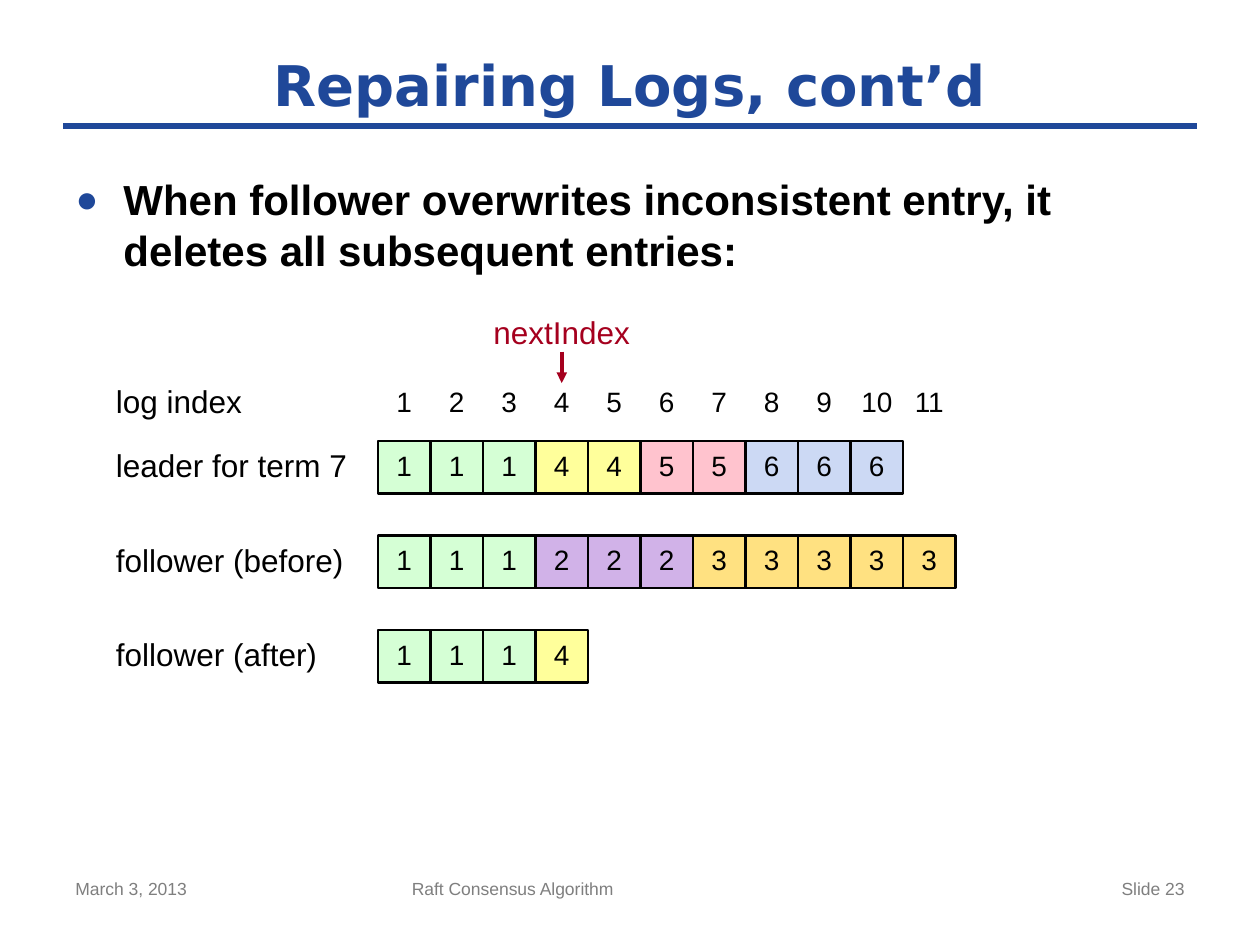
"""Build the slide on repairing inconsistent follower logs."""
from lxml.etree import SubElement
from pptx import Presentation
from pptx.dml.color import RGBColor
from pptx.enum.shapes import MSO_CONNECTOR as CONNECTOR, MSO_SHAPE as SHAPE
from pptx.enum.text import MSO_ANCHOR as ANCHOR, MSO_AUTO_SIZE as AUTO_SIZE, PP_ALIGN as ALIGN
from pptx.oxml.ns import qn
from pptx.util import Inches, Pt

BLUE = RGBColor(0x1F, 0x48, 0x99)
RED = RGBColor(0xA5, 0x00, 0x1E)
BLACK = RGBColor(0x00, 0x00, 0x00)
GRAY = RGBColor(0x7F, 0x7F, 0x7F)
TERM_FILLS = {
    1: RGBColor(0xD5, 0xFF, 0xD5),
    2: RGBColor(0xD1, 0xB2, 0xE8),
    3: RGBColor(0xFF, 0xE1, 0x81),
    4: RGBColor(0xFF, 0xFF, 0x9B),
    5: RGBColor(0xFF, 0xC3, 0xCE),
    6: RGBColor(0xCC, 0xD9, 0xF4),
}
CELL = 5 / 12
LOG_LEFT = 3
LABEL_LEFT = 0.92
NEXT_INDEX = 4
LOGS = [
    ("leader for term 7", 3.5, [1, 1, 1, 4, 4, 5, 5, 6, 6, 6]),
    ("follower (before)", 4.25, [1, 1, 1, 2, 2, 2, 3, 3, 3, 3, 3]),
    ("follower (after)", 5, [1, 1, 1, 4]),
]


def write(shape, text, size, color=BLACK, align=ALIGN.LEFT, inset=None, spacing=None,
          font="Arial", bold=False):
    frame = shape.text_frame
    frame.text = text
    frame.word_wrap = True
    frame.auto_size = AUTO_SIZE.NONE
    if inset is not None:
        frame.margin_left = frame.margin_right = Inches(inset)
        frame.margin_top = frame.margin_bottom = Inches(inset)
    line = frame.paragraphs[0]
    line.alignment = align
    if spacing:
        line.line_spacing = Pt(spacing)
    run_font = line.runs[0].font
    run_font.name, run_font.size, run_font.bold = font, Pt(size), bold
    run_font.color.rgb = color


def add_line(x1, y1, x2, y2, color, width):
    line = slide.shapes.add_connector(
        CONNECTOR.STRAIGHT, Inches(x1), Inches(y1), Inches(x2), Inches(y2))
    line.line.color.rgb = color
    line.line.width = Pt(width)
    SubElement(line._element.spPr, qn("a:effectLst"))
    return line


prs = Presentation()
prs.slide_width, prs.slide_height = Inches(10), Inches(7.5)
slide = prs.slides.add_slide(prs.slide_layouts[1])
shapes = slide.shapes

add_line(0.5, 1, 9.5, 1, BLUE, 4)

title = shapes.title
title.left, title.top, title.width, title.height = map(Inches, (0.5, 0.33, 9, 0.67))
write(title, "Repairing Logs, cont’d", 32, BLUE, ALIGN.CENTER, font="DejaVu Sans", bold=True)
title.text_frame.vertical_anchor = ANCHOR.MIDDLE

body = slide.placeholders[1]
body.left, body.top, body.width, body.height = map(Inches, (0.5, 1.33, 9, 5.37))
write(body, "When follower overwrites inconsistent entry, it deletes all subsequent entries:",
      24, bold=True)
bullet = body.text_frame.paragraphs[0]
bullet.space_before = Pt(12)
bullet_format = bullet._p.get_or_add_pPr()
bullet_format.set("marL", str(Inches(0.38)))
bullet_format.set("indent", str(-Inches(0.38)))
SubElement(SubElement(bullet_format, qn("a:buClr")), qn("a:srgbClr"), val=str(BLUE))
SubElement(bullet_format, qn("a:buSzPct"), val="90000")
SubElement(bullet_format, qn("a:buFont"), typeface="Arial")
SubElement(bullet_format, qn("a:buChar"), char="●")

for text, left, width, align in [
    ("March 3, 2013", 0.5, 2.33, ALIGN.LEFT),
    ("Raft Consensus Algorithm", 3.17, 3.75, ALIGN.LEFT),
    ("Slide 23", 7.17, 2.33, ALIGN.RIGHT),
]:
    footer = shapes.add_textbox(Inches(left), Inches(6.92), Inches(width), Inches(0.43))
    write(footer, text, 10, GRAY, align)

index_label = shapes.add_textbox(Inches(LABEL_LEFT), Inches(3.03), Inches(1.25), Inches(0.3))
write(index_label, "log index", 18, inset=0)
for index in range(1, 12):
    width = CELL if index < 10 else 0.58
    center = LOG_LEFT + (index - 0.5) * CELL
    number = shapes.add_textbox(
        Inches(center - width / 2), Inches(3), Inches(width), Inches(0.37))
    write(number, str(index), 16, align=ALIGN.CENTER)

for name, top, terms in LOGS:
    log_label = shapes.add_textbox(
        Inches(LABEL_LEFT), Inches(top + 0.08), Inches(2), Inches(0.27))
    write(log_label, name, 18, inset=0, spacing=19)
    for column, term in enumerate(terms):
        entry = shapes.add_shape(
            SHAPE.RECTANGLE, Inches(LOG_LEFT + column * CELL), Inches(top),
            Inches(CELL), Inches(CELL))
        entry.shadow.inherit = False
        entry.fill.solid()
        entry.fill.fore_color.rgb = TERM_FILLS[term]
        entry.line.color.rgb = BLACK
        entry.line.width = Pt(1.5)
        write(entry, str(term), 16, align=ALIGN.CENTER, inset=0, spacing=17)
        entry.text_frame.vertical_anchor = ANCHOR.MIDDLE

pointer_x = LOG_LEFT + (NEXT_INDEX - 0.5) * CELL
pointer_label = shapes.add_textbox(
    Inches(pointer_x - 0.55), Inches(2.52), Inches(1.1), Inches(0.27))
write(pointer_label, "nextIndex", 18, RED, ALIGN.CENTER, inset=0, spacing=19)
pointer = add_line(pointer_x, 2.79, pointer_x, 3.04, RED, 2)
pointer.begin_connect(pointer_label, 2)
SubElement(pointer.line._get_or_add_ln(), qn("a:tailEnd"), type="triangle")

prs.save("out.pptx")
